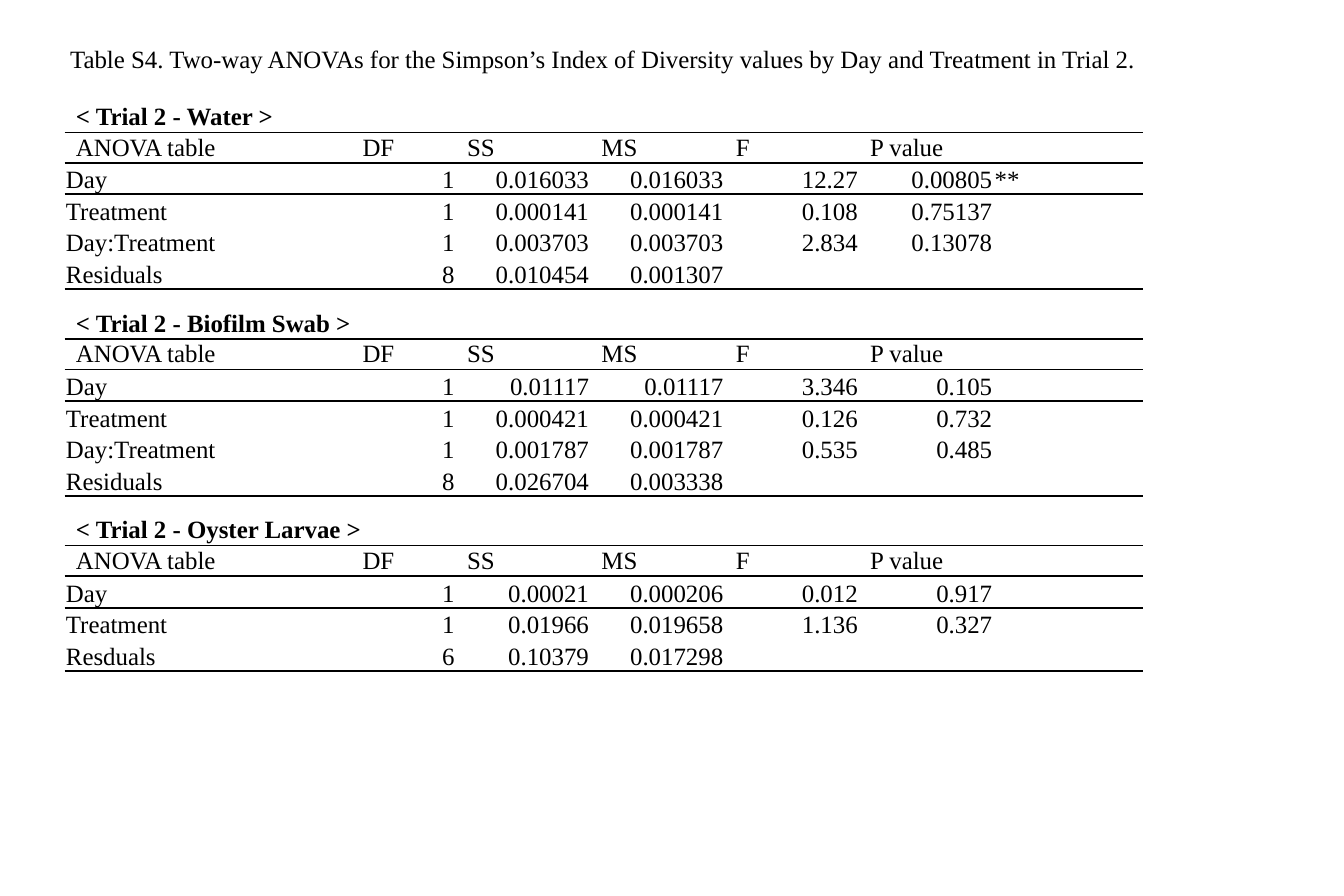
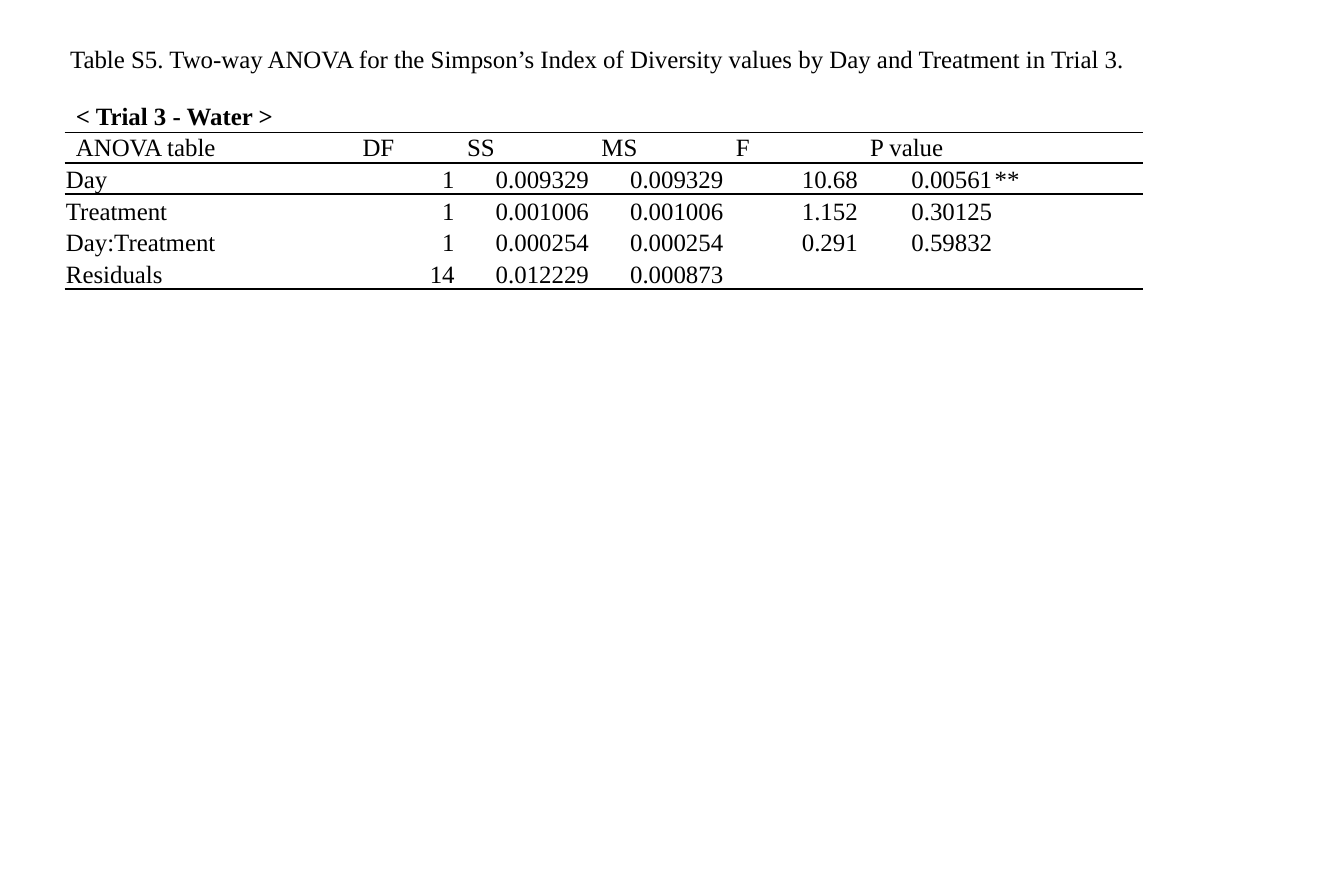
from lxml.etree import SubElement
from pptx import Presentation
from pptx.dml.color import RGBColor
from pptx.enum.text import MSO_ANCHOR, MSO_AUTO_SIZE, PP_ALIGN
from pptx.oxml import parse_xml
from pptx.oxml.ns import nsdecls, qn
from pptx.util import Pt

BLACK = RGBColor(0x00, 0x00, 0x00)
FONT = "Times New Roman"
FONT_SIZE = Pt(12)
NO_STYLE = "{2D5ABB26-0587-4C30-8999-92F81FD0307C}"
COLUMN_WIDTHS = [138.2, 50.4, 64.8, 64.8, 64.8, 64.8, 72]
HEADING_HEIGHT, DATA_HEIGHT = 14.4, 15.1
TABLE_LEFT, TABLE_TOP, TABLE_STEP = 31.2, 49.2, 99.6
HEADER = ["ANOVA table", "DF", "SS", "MS", "F", "P value"]

SLIDES = [
    ("Table S4. Two-way ANOVAs for the Simpson’s Index of Diversity values by Day and Treatment in Trial 2.", [
        ("< Trial 2 - Water >", [
            ["Day", "1", "0.016033", "0.016033", "12.27", "0.00805", "**"],
            ["Treatment", "1", "0.000141", "0.000141", "0.108", "0.75137"],
            ["Day:Treatment", "1", "0.003703", "0.003703", "2.834", "0.13078"],
            ["Residuals", "8", "0.010454", "0.001307"],
        ]),
        ("< Trial 2 - Biofilm Swab >", [
            ["Day", "1", "0.01117", "0.01117", "3.346", "0.105"],
            ["Treatment", "1", "0.000421", "0.000421", "0.126", "0.732"],
            ["Day:Treatment", "1", "0.001787", "0.001787", "0.535", "0.485"],
            ["Residuals", "8", "0.026704", "0.003338"],
        ]),
        ("< Trial 2 - Oyster Larvae >", [
            ["Day", "1", "0.00021", "0.000206", "0.012", "0.917"],
            ["Treatment", "1", "0.01966", "0.019658", "1.136", "0.327"],
            ["Resduals", "6", "0.10379", "0.017298"],
        ]),
    ]),
    ("Table S5. Two-way ANOVA for the Simpson’s Index of Diversity values by Day and Treatment in Trial 3.", [
        ("< Trial 3 - Water >", [
            ["Day", "1", "0.009329", "0.009329", "10.68", "0.00561", "**"],
            ["Treatment", "1", "0.001006", "0.001006", "1.152", "0.30125"],
            ["Day:Treatment", "1", "0.000254", "0.000254", "0.291", "0.59832"],
            ["Residuals", "14", "0.012229", "0.000873"],
        ]),
    ]),
]


def write_text(para, text, bold=False):
    """Write one line in the deck's font; an empty line keeps its size too."""
    para.text = text
    for span in para.runs:
        span.font.name = FONT
        span.font.size = FONT_SIZE
        span.font.bold = bold
        span.font.color.rgb = BLACK
    if not text:
        SubElement(para._p, qn("a:endParaRPr"), sz=str(int(FONT_SIZE.pt * 100)))


def add_borders(cell, sides):
    """Draw black rules on the given sides, listed in schema order (T, B)."""
    properties = cell._tc.get_or_add_tcPr()
    for position, side in enumerate(sides):
        properties.insert(position, parse_xml(
            f'<a:ln{side} {nsdecls("a")} w="{Pt(1)}"><a:solidFill>'
            f'<a:srgbClr val="{BLACK}"/></a:solidFill></a:ln{side}>'))


deck = Presentation()
deck.slide_width, deck.slide_height = Pt(648), Pt(432)
layout = deck.slide_layouts.get_by_name("Title Only")

caption = layout.placeholders[0]
caption.left, caption.top, caption.width, caption.height = Pt(26.6), Pt(17.3), Pt(563), Pt(21.8)
caption.text_frame.vertical_anchor = MSO_ANCHOR.TOP
caption.text_frame.auto_size = MSO_AUTO_SIZE.NONE

for title, tables in SLIDES:
    page = deck.slides.add_slide(layout)
    title_para = page.shapes.title.text_frame.paragraphs[0]
    write_text(title_para, title)
    title_para.alignment = PP_ALIGN.LEFT

    for table_index, (heading, data) in enumerate(tables):
        rows = [[heading], HEADER] + data
        heights = [HEADING_HEIGHT] * 2 + [DATA_HEIGHT] * len(data)
        frame = page.shapes.add_table(
            len(rows), len(COLUMN_WIDTHS),
            Pt(TABLE_LEFT), Pt(TABLE_TOP + table_index * TABLE_STEP),
            Pt(sum(COLUMN_WIDTHS)), Pt(sum(heights)))
        table = frame.table
        table.first_row = table.horz_banding = False
        table._tbl.tblPr.find(qn("a:tableStyleId")).text = NO_STYLE
        for column, width in zip(table.columns, COLUMN_WIDTHS):
            column.width = Pt(width)

        ruled_rows = {0, 1, len(rows) - 1}
        for row_index, values in enumerate(rows):
            table.rows[row_index].height = Pt(heights[row_index])
            is_data = row_index > 1
            for column_index in range(len(COLUMN_WIDTHS)):
                cell = table.cell(row_index, column_index)
                cell.margin_left = cell.margin_right = Pt(0.6 if is_data else 5.4)
                cell.margin_top = Pt(0.6 if is_data else 0)
                cell.margin_bottom = Pt(0)
                cell.vertical_anchor = MSO_ANCHOR.BOTTOM if is_data else MSO_ANCHOR.MIDDLE
                cell.fill.background()
                sides = "T" if row_index in (1, 2) else ""
                sides += "B" if row_index in ruled_rows else ""
                add_borders(cell, sides)
                para = cell.text_frame.paragraphs[0]
                text = values[column_index] if column_index < len(values) else ""
                write_text(para, text, bold=row_index == 0)
                if is_data and 1 <= column_index <= 5:
                    para.alignment = PP_ALIGN.RIGHT
        table.cell(0, 0).merge(table.cell(0, 5))

deck.save("out.pptx")
